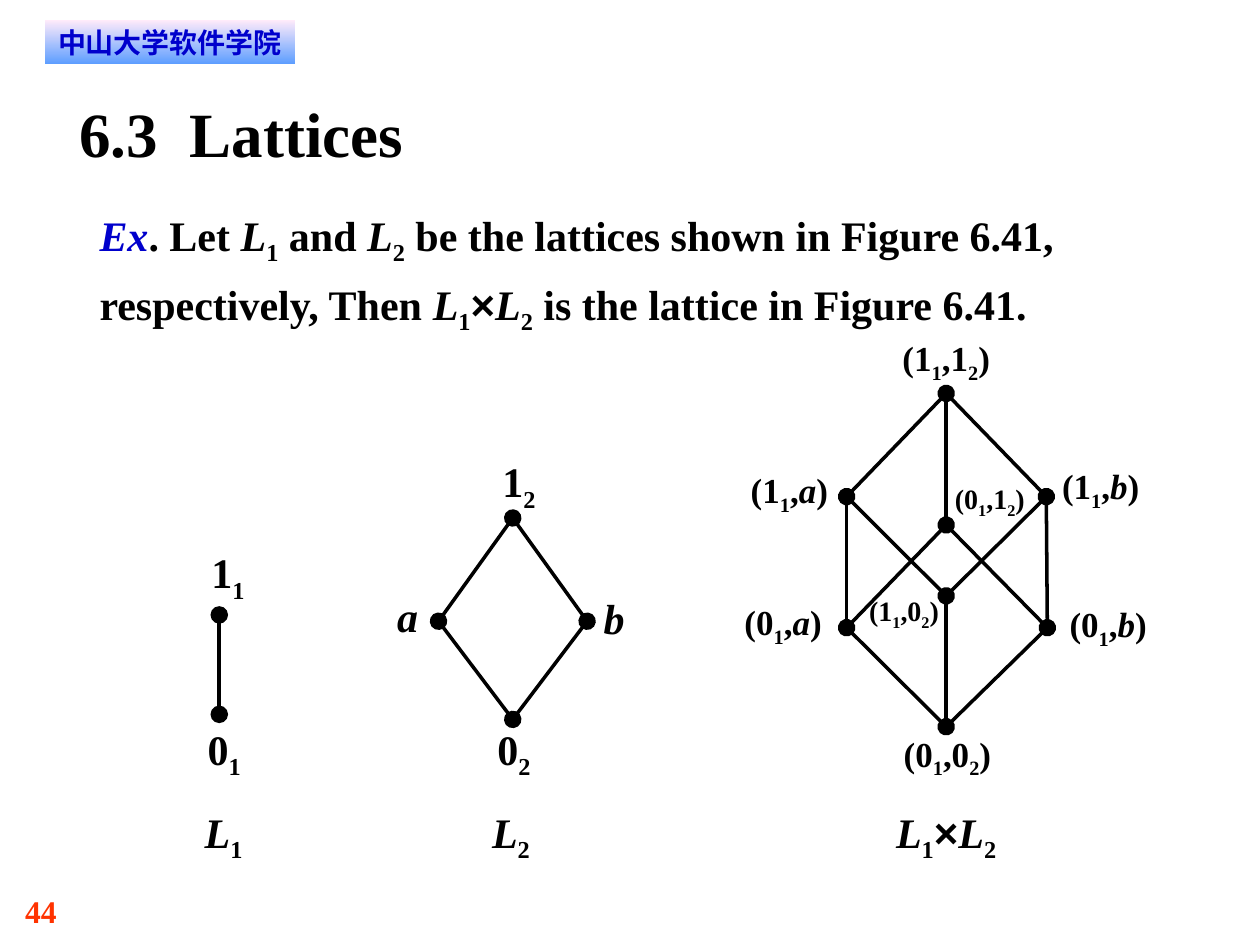
from lxml.etree import SubElement
from pptx import Presentation
from pptx.dml.color import RGBColor
from pptx.enum.shapes import MSO_CONNECTOR, MSO_SHAPE
from pptx.enum.text import MSO_ANCHOR, MSO_AUTO_SIZE, PP_ALIGN
from pptx.oxml.ns import qn
from pptx.util import Pt

COLORS = {"black": "000000", "blue": "0000CC", "red": "FF3300",
          "banner_top": "FFEBFA", "banner_bottom": "5E9EFF"}
SERIF = "Times New Roman"
STYLES = {
    "plain": {},
    "italic": {"italic": True},
    "example": {"italic": True, "color": "blue"},
    "sub": {"subscript": True},
    "times": {"name": "Arial"},
    "title": {"size": 36},
    "page": {"size": 18, "color": "red"},
    "banner": {"size": 16, "color": "blue", "name": "DejaVu Sans"},
}
L1 = [("L", "italic"), ("1", "sub")]
L2 = [("L", "italic"), ("2", "sub")]
PRODUCT = L1 + [("×", "times")] + L2

BANNER = [("中山大学软件学院", "banner")]
TITLE = [("6.3\tLattices", "title")]
PAGE_NUMBER = [("44", "page")]
EXAMPLE = [("Ex", "example"), (". Let ", "plain"), *L1, (" and ", "plain"), *L2,
           (" be the lattices shown in Figure 6.41, respectively, Then ", "plain"),
           *PRODUCT, (" is the lattice in Figure 6.41.", "plain")]


def element(digit, index):
    return [(digit, "plain"), (index, "sub")]


def pair(digit, second):
    """Runs of a product element: a bound of L1 with a bound or letter of L2."""
    if second in "ab":
        tail = [(",", "plain"), (second, "italic"), (")", "plain")]
    else:
        tail = [("," + second, "plain"), ("2", "sub"), (")", "plain")]
    return [("(" + digit, "plain"), ("1", "sub"), *tail]


# runs, left, top, width, font size
LABELS = [
    (element("1", "1"), 121, 312.5, 18.7, 24),
    (element("0", "1"), 118.8, 413.3, 18.7, 24),
    (element("1", "2"), 287.3, 260.6, 18.7, 24),
    (element("0", "2"), 284.4, 413.3, 18.7, 24),
    ([("a", "italic")], 226.8, 337.7, 12.2, 24),
    ([("b", "italic")], 344.9, 338.4, 12.2, 24),
    (pair("1", "1"), 515.5, 192.2, 50.4, 20),
    (pair("0", "0"), 516.2, 418.3, 50.4, 20),
    (pair("1", "a"), 429.1, 267.8, 43.9, 20),
    (pair("1", "b"), 607, 265.7, 43.9, 20),
    (pair("0", "a"), 425.5, 343.4, 43.9, 20),
    (pair("0", "b"), 611.3, 344.2, 43.9, 20),
    (pair("0", "1"), 545.8, 275, 39.6, 16),
    (pair("1", "0"), 496.8, 339.1, 39.6, 16),
    (L1, 115.9, 460.8, 23.8, 24),
    (L2, 280.1, 460.8, 23.8, 24),
    (PRODUCT, 508.3, 460.8, 64.8, 24),
]

# each lattice: dots by name, then the edges joining them
LATTICES = [
    ({"1": (125.3, 351.4), "0": (125.3, 408.2)}, ["0 1"]),
    ({"1": (293, 296), "a": (250.6, 355), "b": (335.5, 355), "0": (293, 411.1)},
     ["0 a", "0 b", "a 1", "b 1"]),
    ({"11": (540.7, 224.8), "1a": (483.8, 283.8), "1b": (597.9, 283.8),
      "01": (540.7, 300), "10": (540.7, 340.5), "0a": (483.8, 358.7),
      "0b": (598.5, 358.7), "00": (540.7, 415.3)},
     ["00 0a", "00 0b", "0a 01", "0b 01", "10 1a", "10 1b", "1a 11", "1b 11",
      "0a 1a", "0b 1b", "00 10", "01 11"]),
]


def rgb(name):
    return RGBColor.from_string(COLORS[name])


def write_text(shape, runs, size=24, align=PP_ALIGN.LEFT, wrap=True, margins=(0, 0)):
    frame = shape.text_frame
    across, down = (Pt(margin) for margin in margins)
    settings = {"margin_left": across, "margin_right": across, "margin_top": down,
                "margin_bottom": down, "word_wrap": wrap,
                "auto_size": MSO_AUTO_SIZE.NONE, "vertical_anchor": MSO_ANCHOR.TOP}
    for name, value in settings.items():
        setattr(frame, name, value)
    paragraph = frame.paragraphs[0]
    paragraph.alignment = align
    for text, style in runs:
        look = {"size": size, "name": SERIF, "color": "black", "italic": False,
                **STYLES[style]}
        run = paragraph.add_run()
        run.text = text
        formats = {"size": Pt(look["size"]), "bold": True,
                   "italic": look["italic"], "name": look["name"]}
        for name, value in formats.items():
            setattr(run.font, name, value)
        run.font.color.rgb = rgb(look["color"])
        properties = run._r.get_or_add_rPr()
        SubElement(properties, qn("a:ea"), typeface=look["name"])
        if "subscript" in look:
            properties.set("baseline", "-25000")
    return paragraph


def add_text(slide, runs, left, top, width, height, **options):
    box = slide.shapes.add_textbox(Pt(left), Pt(top), Pt(width), Pt(height))
    return write_text(box, runs, **options)


def add_banner(slide):
    banner = slide.shapes.add_shape(MSO_SHAPE.RECTANGLE, Pt(25.5), Pt(11.5), Pt(143), Pt(25))
    banner.shadow.inherit = False
    banner.line.fill.background()
    banner.fill.gradient()
    banner.fill.gradient_angle = 270
    for stop, color in zip(banner.fill.gradient_stops, ("banner_top", "banner_bottom")):
        stop.color.rgb = rgb(color)
    write_text(banner, BANNER, align=PP_ALIGN.CENTER, margins=(5.75, 3))


def add_title(slide):
    title = slide.shapes.title
    title.left, title.top, title.width, title.height = Pt(45.4), Pt(54), Pt(630), Pt(43)
    paragraph = write_text(title, TITLE)
    tabs = SubElement(paragraph._p.get_or_add_pPr(), qn("a:tabLst"))
    SubElement(tabs, qn("a:tab"), pos=str(Pt(63)), algn="l")


def add_lattice(slide, dots, edges):
    """Draw the edges; the first edge to reach a dot draws it as its oval end."""
    drawn = set()
    for edge in edges:
        start, end = edge.split()
        points = [Pt(value) for value in dots[start] + dots[end]]
        line = slide.shapes.add_connector(MSO_CONNECTOR.STRAIGHT, *points)
        line.line.color.rgb = rgb("black")
        line.line.width = Pt(2)
        outline = line.line._get_or_add_ln()
        for tag, dot in (("a:headEnd", start), ("a:tailEnd", end)):
            if dot not in drawn:
                SubElement(outline, qn(tag), type="oval", w="lg", len="lg")
                drawn.add(dot)
        SubElement(line._element.spPr, qn("a:effectLst"))


def main():
    presentation = Presentation()
    presentation.slide_width, presentation.slide_height = Pt(720), Pt(540)
    slide = presentation.slides.add_slide(presentation.slide_layouts[5])
    add_text(slide, PAGE_NUMBER, 14.4, 509.8, 54, 21.6)
    add_banner(slide)
    add_title(slide)
    add_text(slide, EXAMPLE, 56.9, 113, 630.7, 78.5).line_spacing = 1.2
    for dots, edges in LATTICES:
        add_lattice(slide, dots, edges)
    for runs, left, top, width, size in LABELS:
        add_text(slide, runs, left, top, width, round(size * 1.37), size=size,
                 align=PP_ALIGN.CENTER, wrap=False)
    presentation.save("out.pptx")


if __name__ == "__main__":
    main()
